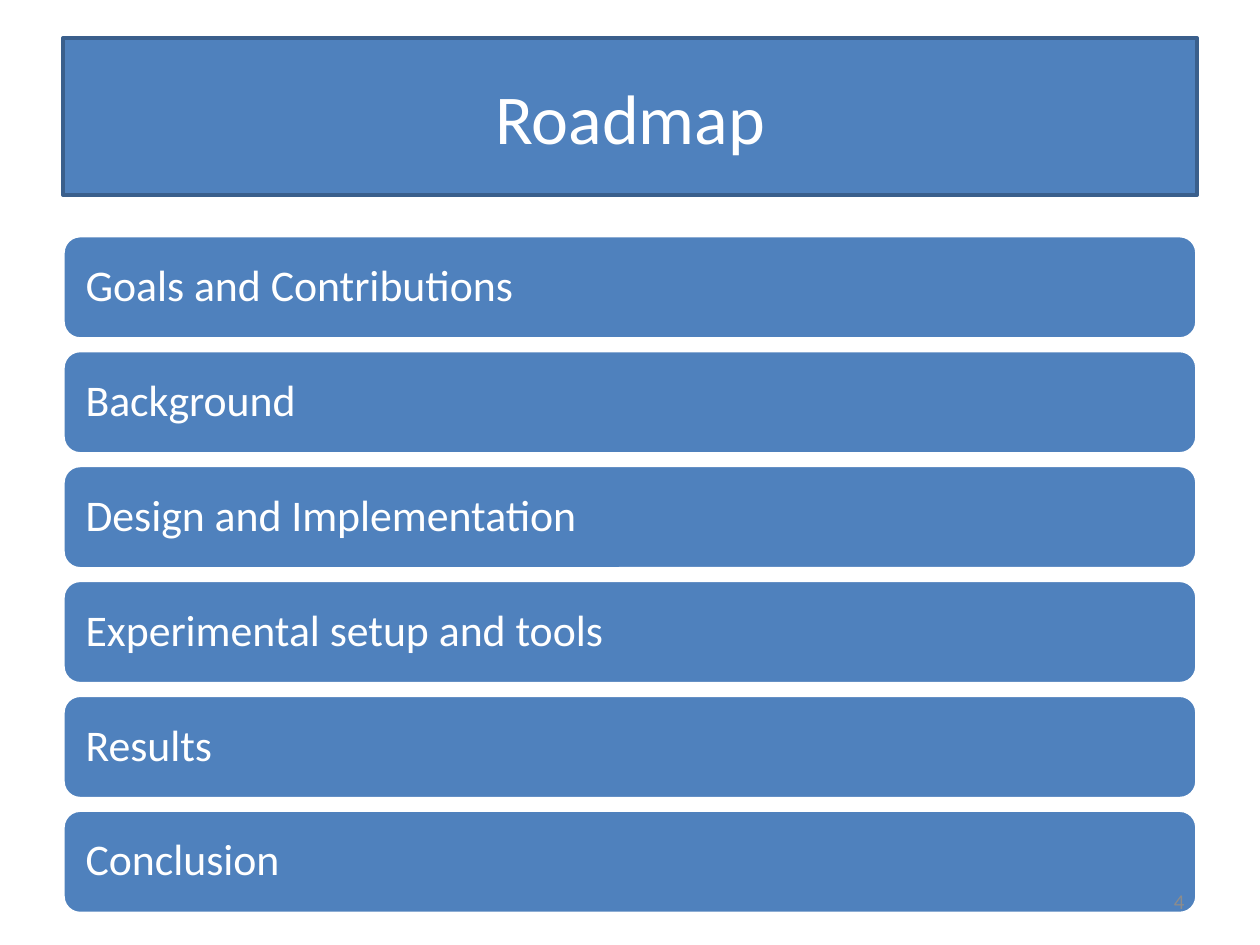
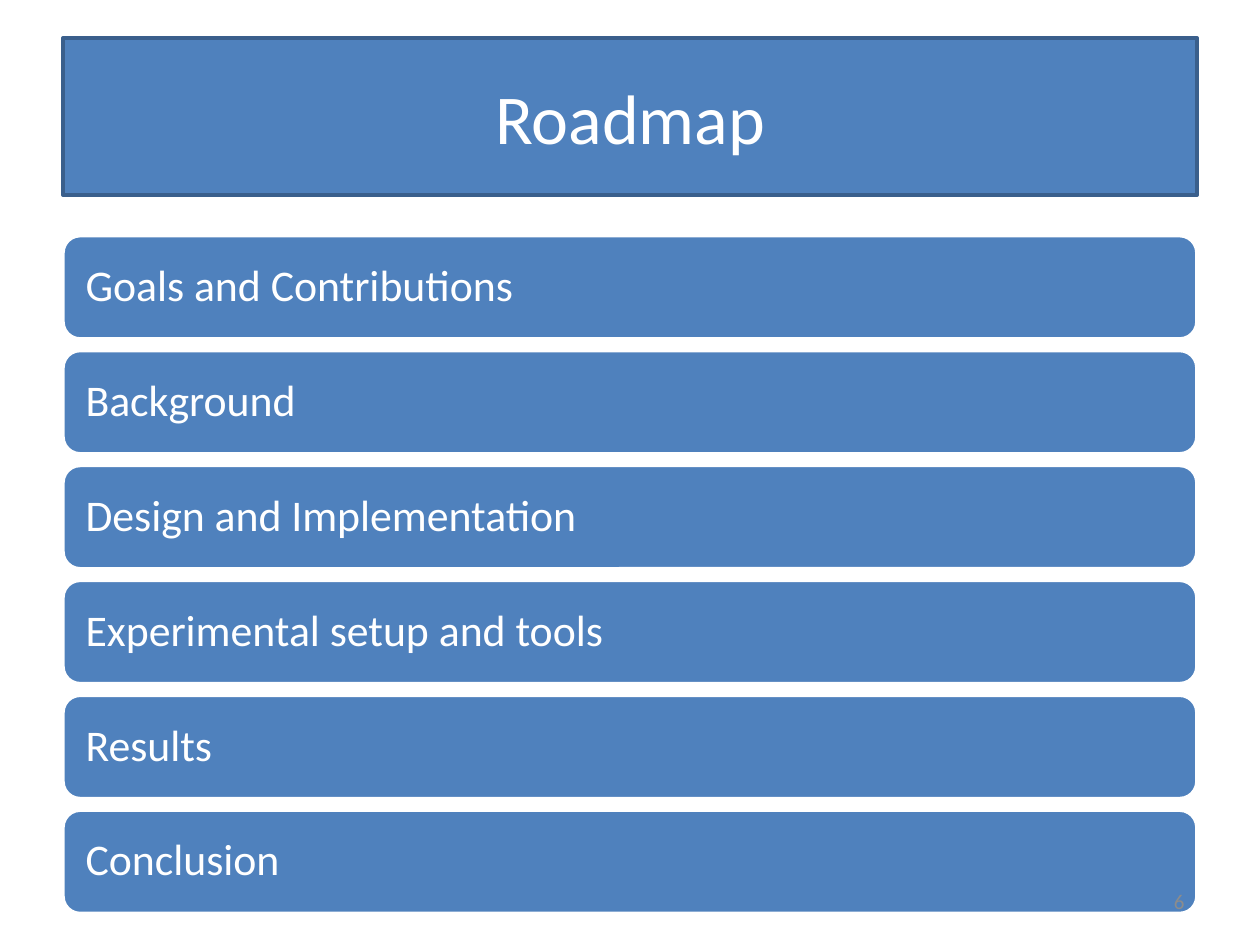
"""Build two roadmap slides with a title band, six topic bars and a page number."""
from dataclasses import dataclass

from pptx import Presentation
from pptx.dml.color import RGBColor
from pptx.enum.shapes import MSO_SHAPE
from pptx.enum.text import MSO_ANCHOR, MSO_AUTO_SIZE, PP_ALIGN
from pptx.util import Inches, Pt

ROUNDED = MSO_SHAPE.ROUNDED_RECTANGLE
MIDDLE = MSO_ANCHOR.MIDDLE
NO_FIT = MSO_AUTO_SIZE.NONE
LEFT, CENTER, RIGHT = PP_ALIGN.LEFT, PP_ALIGN.CENTER, PP_ALIGN.RIGHT
TITLE_ONLY = 5

TITLE = "Roadmap"
TOPICS = [
    "Goals and Contributions",
    "Background",
    "Design and Implementation",
    "Experimental setup and tools",
    "Results",
    "Conclusion",
]
PAGE_NUMBERS = ["4", "6"]

MARGIN, CONTENT_W = 0.5, 9
TITLE_BOX = (MARGIN, 0.3, CONTENT_W, 1.25)
NUMBER_BOX = (7.17, 6.95, 2.33, 0.4)
BARS_TOP, BARS_BOTTOM, BAR_H = 1.87, 7.25, 0.82
BAR_INSET = 0.14


@dataclass(frozen=True)
class Theme:
    font: str = "Calibri"
    blue: RGBColor = RGBColor(0x4F, 0x81, 0xBD)
    edge: RGBColor = RGBColor(0x3A, 0x5F, 0x8C)
    white: RGBColor = RGBColor(0xFF, 0xFF, 0xFF)
    gray: RGBColor = RGBColor(0x8C, 0x8C, 0x8C)
    title_size: int = 40
    bar_size: int = 25
    number_size: int = 12
    line_width: int = 2


THEME = Theme()


def box(values):
    return [Inches(v) for v in values]


def paint(sp, line_color):
    sp.fill.solid()
    sp.fill.fore_color.rgb = THEME.blue
    sp.line.color.rgb = line_color
    sp.line.width = Pt(THEME.line_width)


def write(sp, text, size, color, align):
    tf = sp.text_frame
    tf.word_wrap = True
    tf.auto_size = NO_FIT
    tf.vertical_anchor = MIDDLE
    p = tf.paragraphs[0]
    p.alignment = align
    r = p.add_run()
    r.text = text
    r.font.name = THEME.font
    r.font.size = Pt(size)
    r.font.color.rgb = color
    return tf


def add_title(s):
    sp = s.shapes.title
    sp.left, sp.top, sp.width, sp.height = box(TITLE_BOX)
    paint(sp, THEME.edge)
    write(sp, TITLE, THEME.title_size, THEME.white, CENTER)


def add_bars(s):
    pitch = (BARS_BOTTOM - BARS_TOP - BAR_H) / (len(TOPICS) - 1)
    for i, topic in enumerate(TOPICS):
        bar = (MARGIN, BARS_TOP + i * pitch, CONTENT_W, BAR_H)
        sp = s.shapes.add_shape(ROUNDED, *box(bar))
        sp.shadow.inherit = False
        paint(sp, THEME.white)
        tf = write(sp, topic, THEME.bar_size, THEME.white, LEFT)
        tf.paragraphs[0].line_spacing = 0.9
        tf.margin_left = tf.margin_right = Inches(BAR_INSET)
        tf.margin_top = tf.margin_bottom = Inches(BAR_INSET)


def add_page_number(s, number):
    sp = s.shapes.add_textbox(*box(NUMBER_BOX))
    write(sp, number, THEME.number_size, THEME.gray, RIGHT)


def main():
    prs = Presentation()
    prs.slide_width, prs.slide_height = box((10, 7.5))
    for number in PAGE_NUMBERS:
        s = prs.slides.add_slide(prs.slide_layouts[TITLE_ONLY])
        add_title(s)
        add_bars(s)
        add_page_number(s, number)
    prs.save("out.pptx")


if __name__ == "__main__":
    main()
